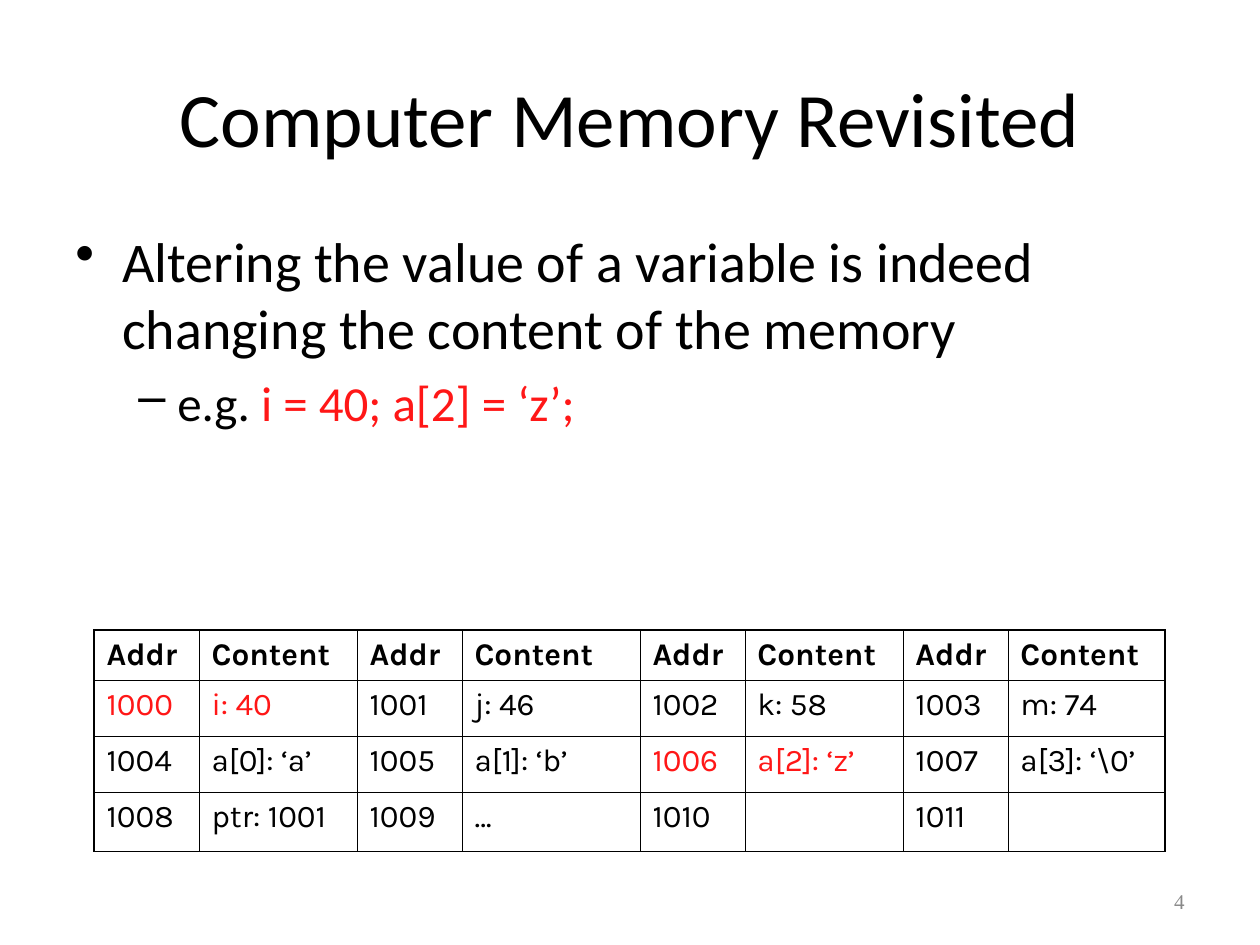
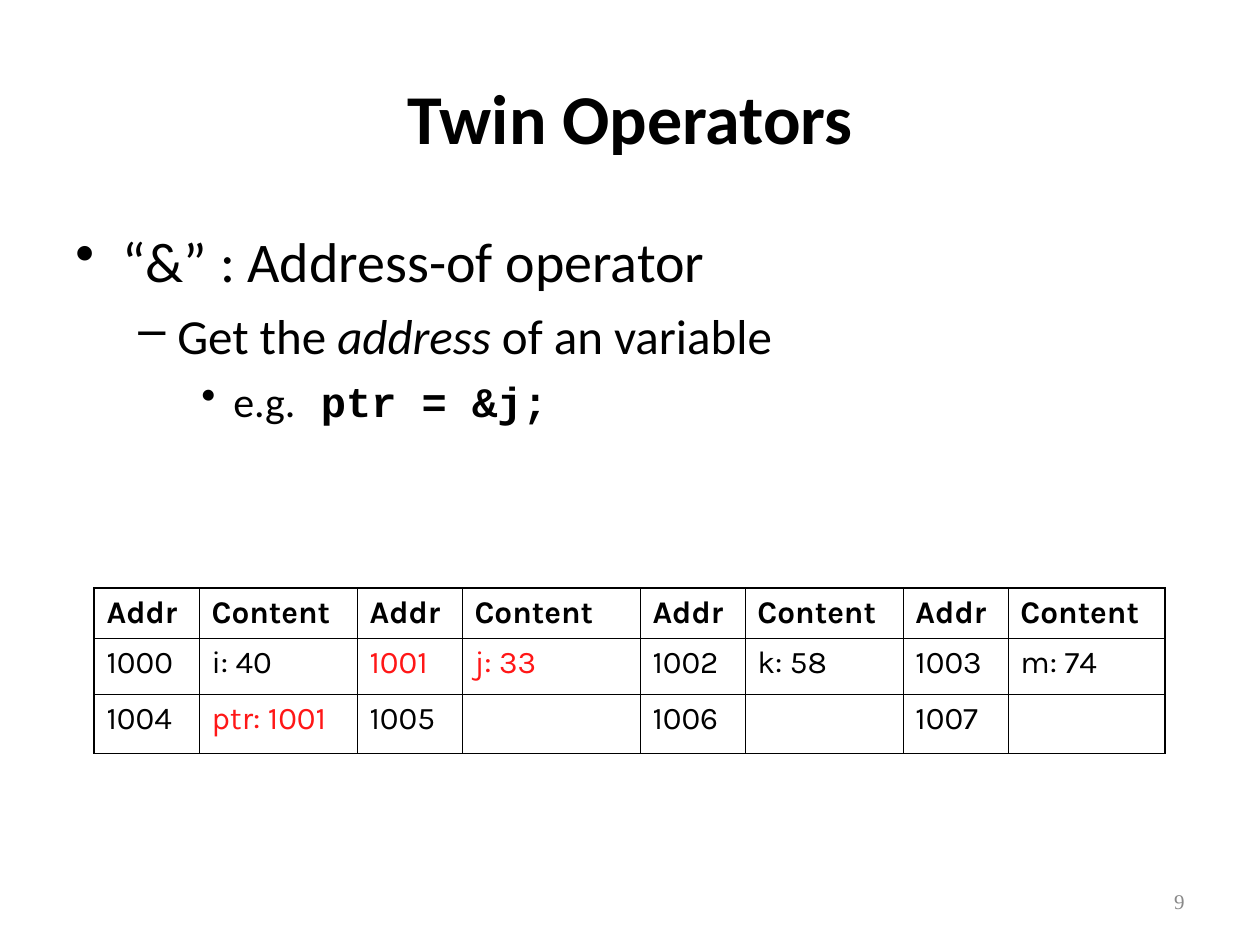
from pptx import Presentation
from pptx.dml.color import RGBColor as Rgb
from pptx.enum.text import MSO_ANCHOR as Anchor, PP_ALIGN as Align
from pptx.oxml.ns import qn
from pptx.util import Pt
from lxml.etree import SubElement as Sub

# Content: body lines are (level, runs), runs are (text, changes)
HEAD = ["Addr", "Content"] * 4
SLIDES = [
    {
        "title": ("Computer Memory Revisited", 44, False),
        "body": [
            (0, [("Altering the value of a variable is indeed "
                  "changing the content of the memory", {})]),
            (1, [("e.g. ", {}), ("i = 40; a[2] = ‘z’;", {"color": "red"})]),
        ],
        "top": 630,
        "rows": [
            ["1000", "i: 40", "1001", "j: 46", "1002", "k: 58", "1003", "m: 74"],
            ["1004", "a[0]: ‘a’", "1005", "a[1]: ‘b’",
             "1006", "a[2]: ‘z’", "1007", "a[3]: ‘\\0’"],
            ["1008", "ptr: 1001", "1009", "…", "1010", "", "1011", ""],
        ],
        "red": {"1000", "i: 40", "1006", "a[2]: ‘z’"},
        "page": "4",
    },
    {
        "title": ("Twin Operators", 40, True),
        "body": [
            (0, [("“&” : Address-of operator", {})]),
            (1, [("Get the ", {}), ("address", {"italic": True}),
                 (" of an variable", {})]),
            (2, [("e.g.", {}),
                 (" ptr = &j;", {"face": "Courier New", "bold": True})]),
        ],
        "top": 588,
        "rows": [
            ["1000", "i: 40", "1001", "j: 33", "1002", "k: 58", "1003", "m: 74"],
            ["1004", "ptr: 1001", "1005", "", "1006", "", "1007", ""],
        ],
        "red": {"1001", "j: 33", "ptr: 1001"},
        "page": "9",
    },
]

# Shared style
INK = {"text": "000000", "red": "FF1717", "page": "898989"}
SCALE = 914400 / 126
TITLE = (63, 38, 1134, 158)
BODY = (63, 220, 1134, 624)
PAGE = (904, 876, 293, 50)
LEVELS = [  # mark, left margin, hang, size, space before
    ("•", 47, 47, 32, 8),
    ("–", 102, 39, 28, 7),
    ("•", 158, 32, 24, 6),
]
LEFT, COLS = 94, [105, 158, 105, 178, 105, 158, 105, 157]
HEAD_H, ROW_H, LAST_H = 50, 56, 59
THICK, THIN = 1.08, 0.45


def px(n):
    return round(n * SCALE)


def style(font, size=None, color=None, face=None, bold=None, italic=None):
    if size:
        font.size = Pt(size)
    if color:
        font.color.rgb = Rgb.from_string(INK[color])
    if face:
        font.name = face
    if bold is not None:
        font.bold = bold
    if italic is not None:
        font.italic = italic


def add_box(slide, area, anchor):
    frame = slide.shapes.add_textbox(*map(px, area)).text_frame
    frame.word_wrap = True
    frame.vertical_anchor = anchor
    return frame


def add_line(slide, area, text, align, **look):
    para = add_box(slide, area, Anchor.MIDDLE).paragraphs[0]
    para.text = text
    para.alignment = align
    style(para.font, **look)


def add_body(slide, lines):
    frame = add_box(slide, BODY, Anchor.TOP)
    for i, (level, runs) in enumerate(lines):
        mark, left, hang, size, gap = LEVELS[level]
        para = frame.add_paragraph() if i else frame.paragraphs[0]
        para.level = level
        props = para._p.get_or_add_pPr()
        props.set("marL", str(px(left)))
        props.set("indent", str(-px(hang)))
        tint = Sub(props, qn("a:buClr"))
        Sub(tint, qn("a:srgbClr"), val=INK["text"])
        Sub(props, qn("a:buChar"), char=mark)
        if i:
            para.space_before = Pt(gap)
        style(para.font, size, "text", "Calibri")
        for text, look in runs:
            run = para.add_run()
            run.text = text
            style(run.font, **look)


def add_edge(cell, side, width):
    line = Sub(cell._tc.get_or_add_tcPr(), qn("a:ln" + side), w=str(Pt(width)))
    Sub(Sub(line, qn("a:solidFill")), qn("a:srgbClr"), val=INK["text"])


def add_grid(slide, top, rows, red):
    rows = [HEAD] + rows
    highs = [HEAD_H] + [ROW_H] * (len(rows) - 2) + [LAST_H]
    area = (LEFT, top, sum(COLS), sum(highs))
    grid = slide.shapes.add_table(len(rows), len(COLS), *map(px, area)).table
    grid.first_row = grid.horz_banding = False
    for col, wide in zip(grid.columns, COLS):
        col.width = px(wide)
    for row, high in zip(grid.rows, highs):
        row.height = px(high)
    for r, row in enumerate(rows):
        for c, text in enumerate(row):
            cell = grid.cell(r, c)
            # Thick rules: the outer frame and the line below the header
            heavy = {"L": c == 0, "R": c == len(COLS) - 1,
                     "T": r < 2, "B": r in (0, len(rows) - 1)}
            for side, thick in heavy.items():
                add_edge(cell, side, THICK if thick else THIN)
            cell.fill.background()
            para = cell.text_frame.paragraphs[0]
            para.text = text
            style(para.font, 18, "red" if text in red else "text",
                  "Karla", bold=r == 0)


def main():
    deck = Presentation()
    deck.slide_width, deck.slide_height = px(1260), px(945)
    for data in SLIDES:
        slide = deck.slides.add_slide(deck.slide_layouts[6])
        text, size, bold = data["title"]
        add_line(slide, TITLE, text, Align.CENTER, size=size, color="text",
                 face="Calibri", bold=bold)
        add_body(slide, data["body"])
        add_line(slide, PAGE, data["page"], Align.RIGHT, size=12,
                 color="page", face="Times New Roman")
        add_grid(slide, data["top"], data["rows"], data["red"])
    deck.save("out.pptx")


if __name__ == "__main__":
    main()
